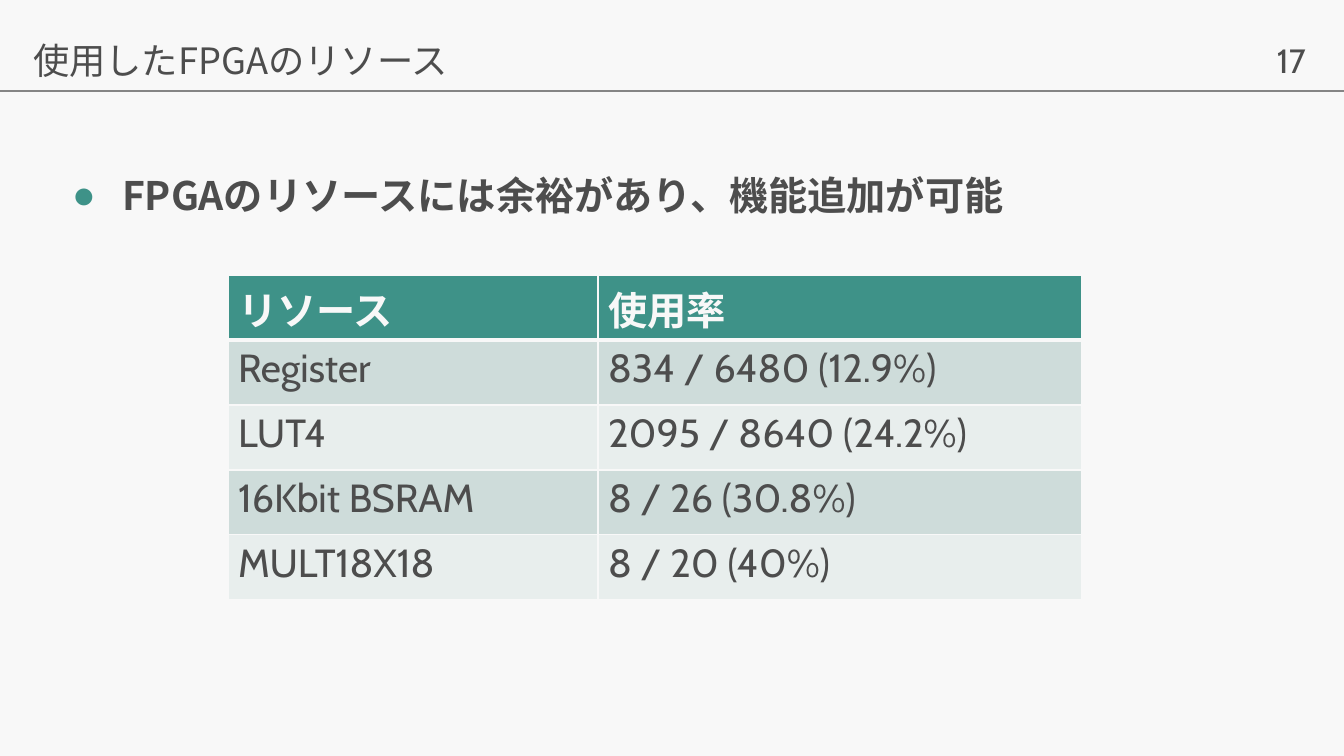
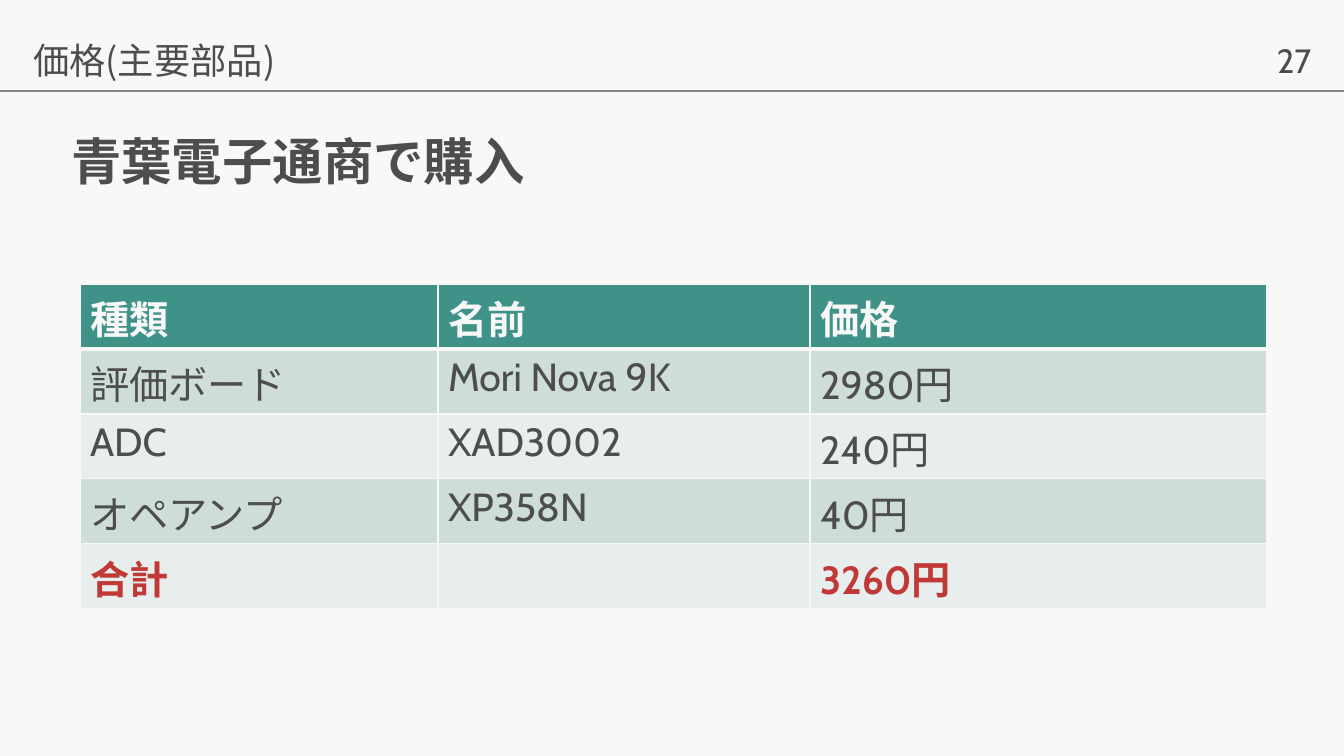
import dataclasses

import lxml.etree
import pptx
import pptx.dml.color
import pptx.enum.shapes
import pptx.enum.text
import pptx.oxml.ns
import pptx.util

ANCHOR = pptx.enum.text.MSO_ANCHOR
SCALE = 914400 / 100.8  # EMU in one px
WIDE, HIGH = 1344, 756


# Colours, fonts and type sizes
@dataclasses.dataclass(frozen=True)
class Theme:
    page: str = "F8F8F8"
    ink: str = "4D4D4D"
    teal: str = "3E9288"
    bands: tuple = ("CEDCDA", "E8EEED")
    red: str = "C03936"
    rule: str = "858585"
    latin: str = "Cabin"
    kanji: str = "Noto Sans CJK JP"
    head: float = 25.9
    lead: float = 36
    text: float = 28
    page_no: float = 24


# Helpers
def px(num):
    return pptx.util.Emu(round(num * SCALE))


def rgb(code):
    return pptx.dml.color.RGBColor.from_string(code)


def node(parent, tag, **attrs):
    name = pptx.oxml.ns.qn(tag)
    return lxml.etree.SubElement(parent, name, attrs)


def set_text(frame, text, *, size, color, font, kanji, bold=False,
             space=1.0, anchor=ANCHOR.TOP):
    """Set one left-aligned paragraph and return it."""
    frame.word_wrap = True
    frame.vertical_anchor = anchor
    para = frame.paragraphs[0]
    para.alignment = pptx.enum.text.PP_ALIGN.LEFT
    para.line_spacing = space
    para.space_before = pptx.util.Pt(0)
    run = para.add_run()
    run.text = text
    run.font.size = pptx.util.Pt(size)
    run.font.bold = bold
    run.font.name = font
    run.font.color.rgb = rgb(color)
    node(run.font._element, "a:ea", typeface=kanji)
    return para


def edge(cell, side, color, width):
    line = node(cell._tc.get_or_add_tcPr(), "a:ln" + side,
                w=str(pptx.util.Pt(width)))
    node(node(line, "a:solidFill"), "a:srgbClr", val=color)


class Deck:
    def __init__(self, theme):
        self.theme = theme
        self.prs = pptx.Presentation()
        self.prs.slide_width, self.prs.slide_height = px(WIDE), px(HIGH)
        fill = self.prs.slide_master.background.fill
        fill.solid()
        fill.fore_color.rgb = rgb(theme.page)
        self.slide = None

    def label(self, frame, text, **form):
        base = dict(size=self.theme.text, color=self.theme.ink,
                    font=self.theme.latin, kanji=self.theme.kanji)
        return set_text(frame, text, **{**base, **form})

    def place(self, shape, box, text, **form):
        shape.left, shape.top, shape.width, shape.height = map(px, box)
        shape.text_frame.auto_size = pptx.enum.text.MSO_AUTO_SIZE.NONE
        return self.label(shape.text_frame, text,
                          font=self.theme.kanji, **form)

    # Slide with its heading, page number and rule
    def start(self, title, num):
        self.slide = self.prs.slides.add_slide(self.prs.slide_layouts[1])
        self.place(self.slide.shapes.title, (23, 38, 1263, 51), title,
                   size=self.theme.head, space=0.9)
        box = self.slide.shapes.add_textbox(*map(px, (1267, 35, 61, 50)))
        self.label(box.text_frame, str(num), size=self.theme.page_no)
        self.rule(91)

    def rule(self, top):
        line = self.slide.shapes.add_connector(
            pptx.enum.shapes.MSO_CONNECTOR.STRAIGHT,
            px(0), px(top), px(WIDE), px(top))
        line.line.color.rgb = rgb(self.theme.rule)
        line.line.width = pptx.util.Pt(1)
        node(line._element.spPr, "a:effectLst")

    # Body text: a bullet point or a large plain line
    def point(self, text):
        para = self.place(self.slide.placeholders[1], (62, 162, 1224, 504),
                          text, bold=True, space=1.1)
        props = para._p.get_or_add_pPr()
        props.set("marL", str(px(50)))
        props.set("indent", str(px(-50)))
        node(node(props, "a:buClr"), "a:srgbClr", val=self.theme.teal)
        node(props, "a:buChar", char="●")

    def lead(self, text):
        para = self.place(self.slide.placeholders[1], (61, 112, 1224, 104),
                          text, size=self.theme.lead, bold=True, space=0.9,
                          anchor=ANCHOR.MIDDLE)
        props = para._p.get_or_add_pPr()
        props.set("marL", "0")
        props.set("indent", "0")
        node(props, "a:buNone")

    # Table with a teal head, banded rows and an optional red total
    def table(self, left, top, cols, rows, total=False, high=65):
        look = self.theme
        grid = self.slide.shapes.add_table(
            len(rows), len(cols), px(left), px(top),
            px(sum(cols)), px(high * len(rows))).table
        grid.horz_banding = False
        for col, wide in zip(grid.columns, cols):
            col.width = px(wide)
        for i, row in enumerate(rows):
            head, last = i == 0, total and i == len(rows) - 1
            color = look.page if head else look.red if last else look.ink
            back = look.teal if head else look.bands[(i - 1) % 2]
            for j, text in enumerate(row):
                cell = grid.cell(i, j)
                for side in "LRTB":
                    thick = (i, side) in ((0, "B"), (1, "T"))
                    edge(cell, side, look.page, 3 if thick else 1)
                cell.fill.solid()
                cell.fill.fore_color.rgb = rgb(back)
                if text:
                    self.label(cell.text_frame, text, color=color,
                               bold=head or last)

    def save(self):
        self.prs.save("out.pptx")


def main():
    deck = Deck(Theme())

    # FPGA resources
    deck.start("使用したFPGAのリソース", 17)
    deck.point("FPGAのリソースには余裕があり、機能追加が可能")
    deck.table(228, 275, (370, 484), (
        ("リソース", "使用率"),
        ("Register", "834 / 6480 (12.9%)"),
        ("LUT4", "2095 / 8640 (24.2%)"),
        ("16Kbit BSRAM", "8 / 26 (30.8%)"),
        ("MULT18X18", "8 / 20 (40%)"),
    ))

    # Part prices
    deck.start("価格(主要部品)", 27)
    deck.lead("青葉電子通商で購入")
    deck.table(80, 284, (358, 372, 457), (
        ("種類", "名前", "価格"),
        ("評価ボード", "Mori Nova 9K", "2980円"),
        ("ADC", "XAD3002", "240円"),
        ("オペアンプ", "XP358N", "40円"),
        ("合計", "", "3260円"),
    ), total=True)

    deck.save()


if __name__ == "__main__":
    main()
